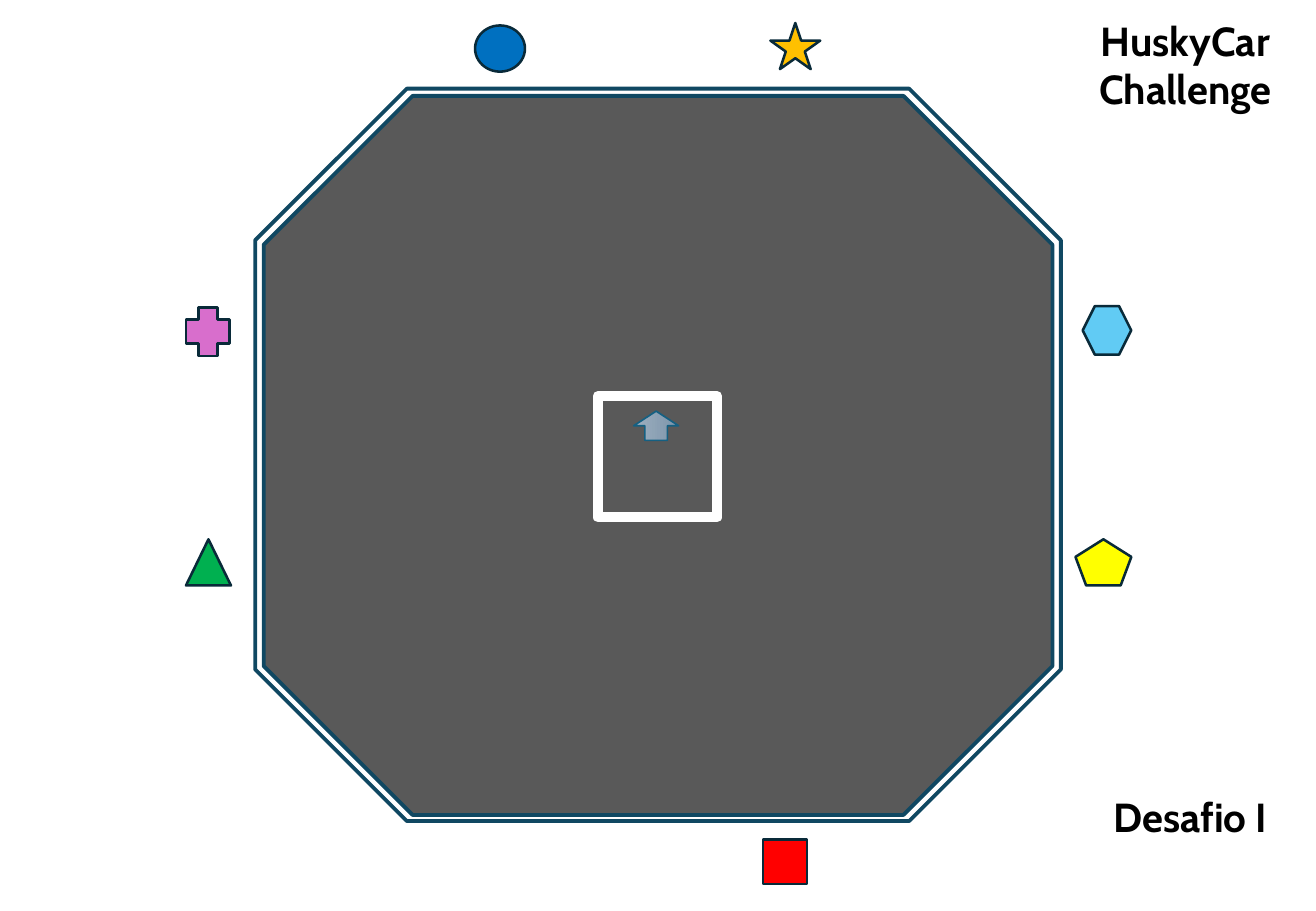
from dataclasses import dataclass

from pptx import Presentation
from pptx.dml.color import RGBColor
from pptx.enum.shapes import MSO_SHAPE
from pptx.enum.text import MSO_ANCHOR, MSO_AUTO_SIZE, PP_ALIGN
from pptx.slide import Slide
from pptx.util import Inches, Pt


def color(value):
    """Turn a hex string into a colour."""
    return RGBColor.from_string(value)


@dataclass
class ArenaSlide:
    """Slide and style; boxes are left, top, width, height in percent of the slide."""

    slide: Slide
    slide_width: int
    slide_height: int
    font_name: str = "Cabin"
    font_size: int = 24
    text_color: str = "000000"
    marker_line: str = "092A39"
    wall_line: str = "104862"

    def place(self, box):
        """Turn a box in percent into slide lengths."""
        sizes = (self.slide_width, self.slide_height) * 2
        return [round(share * size / 100) for share, size in zip(box, sizes)]

    def shape(self, kind, box, fill=None, line=None, width=1.5, adjustment=None):
        """Add a preset shape with a solid fill or none."""
        shape = self.slide.shapes.add_shape(kind, *self.place(box))
        shape.shadow.inherit = False
        if fill:
            shape.fill.solid()
            shape.fill.fore_color.rgb = color(fill)
        else:
            shape.fill.background()
        shape.line.color.rgb = color(line or self.marker_line)
        shape.line.width = Pt(width)
        if adjustment is not None:
            shape.adjustments[0] = adjustment
        return shape

    def wall(self, box, fill=None):
        """Add one octagonal outline of the arena."""
        return self.shape(MSO_SHAPE.OCTAGON, box, fill, self.wall_line, 2.25, 0.207)

    def arrow(self, box, start, end):
        """Add the upward arrow with a gradient fill."""
        arrow = self.shape(MSO_SHAPE.RIGHT_ARROW, box, line="156082", width=1)
        arrow.rotation = 270
        arrow.fill.gradient()
        arrow.fill.gradient_angle = 270
        for stop, value in zip(arrow.fill.gradient_stops, (start, end)):
            stop.color.rgb = color(value)
        return arrow

    def set_text(self, shape, text):
        """Put bold centred text into a shape."""
        frame = shape.text_frame
        frame.text = text
        frame.word_wrap = True
        frame.auto_size = MSO_AUTO_SIZE.NONE
        frame.vertical_anchor = MSO_ANCHOR.TOP
        paragraph = frame.paragraphs[0]
        paragraph.alignment = PP_ALIGN.CENTER
        paragraph.font.name = self.font_name
        paragraph.font.size = Pt(self.font_size)
        paragraph.font.bold = True
        paragraph.font.color.rgb = color(self.text_color)

    def title(self, box, text):
        """Move and fill the title placeholder."""
        title = self.slide.shapes.title
        title.left, title.top, title.width, title.height = self.place(box)
        self.set_text(title, text)

    def label(self, box, text):
        """Add a text box."""
        self.set_text(self.slide.shapes.add_textbox(*self.place(box)), text)


def main():
    """Build the arena slide and save it."""
    presentation = Presentation()
    presentation.slide_width = Inches(10.83)
    presentation.slide_height = Inches(7.5)
    slide = presentation.slides.add_slide(presentation.slide_layouts[5])
    arena = ArenaSlide(slide, presentation.slide_width, presentation.slide_height)

    arena.wall((20.04, 10.53, 59.93, 78.93), "595959")
    arena.wall((19.39, 9.73, 61.22, 80.4))
    arena.title((81.07, 1.07, 18.01, 12.13), "HuskyCar Challenge")
    arena.label((81.44, 86.27, 18.01, 6.67), "Desafio I")

    markers = [
        (MSO_SHAPE.OVAL, (36.1, 2.8, 3.79, 5.07), "0070C0"),
        (MSO_SHAPE.STAR_5_POINT, (58.54, 2.53, 3.79, 5.07), "FFC000"),
        (MSO_SHAPE.HEXAGON, (82.27, 33.6, 3.69, 5.33), "61CBF4"),
        (MSO_SHAPE.REGULAR_PENTAGON, (81.72, 59.2, 4.25, 5.07), "FFFF00"),
        (MSO_SHAPE.RECTANGLE, (57.99, 92.13, 3.32, 4.93), "FF0000"),
        (MSO_SHAPE.ISOSCELES_TRIANGLE, (14.13, 59.2, 3.42, 5.07), "00B050"),
    ]
    for kind, box, fill in markers:
        arena.shape(kind, box, fill)
    arena.shape(MSO_SHAPE.CROSS, (14.13, 33.73, 3.32, 5.33), "D86ECC", adjustment=0.282)

    arena.shape(MSO_SHAPE.RECTANGLE, (45.43, 43.47, 9.05, 13.33), line="FFFFFF", width=6)
    arena.arrow((48.75, 44.27, 2.22, 4.93), "9EAFBF", "7C95AB")
    presentation.save("out.pptx")


if __name__ == "__main__":
    main()
